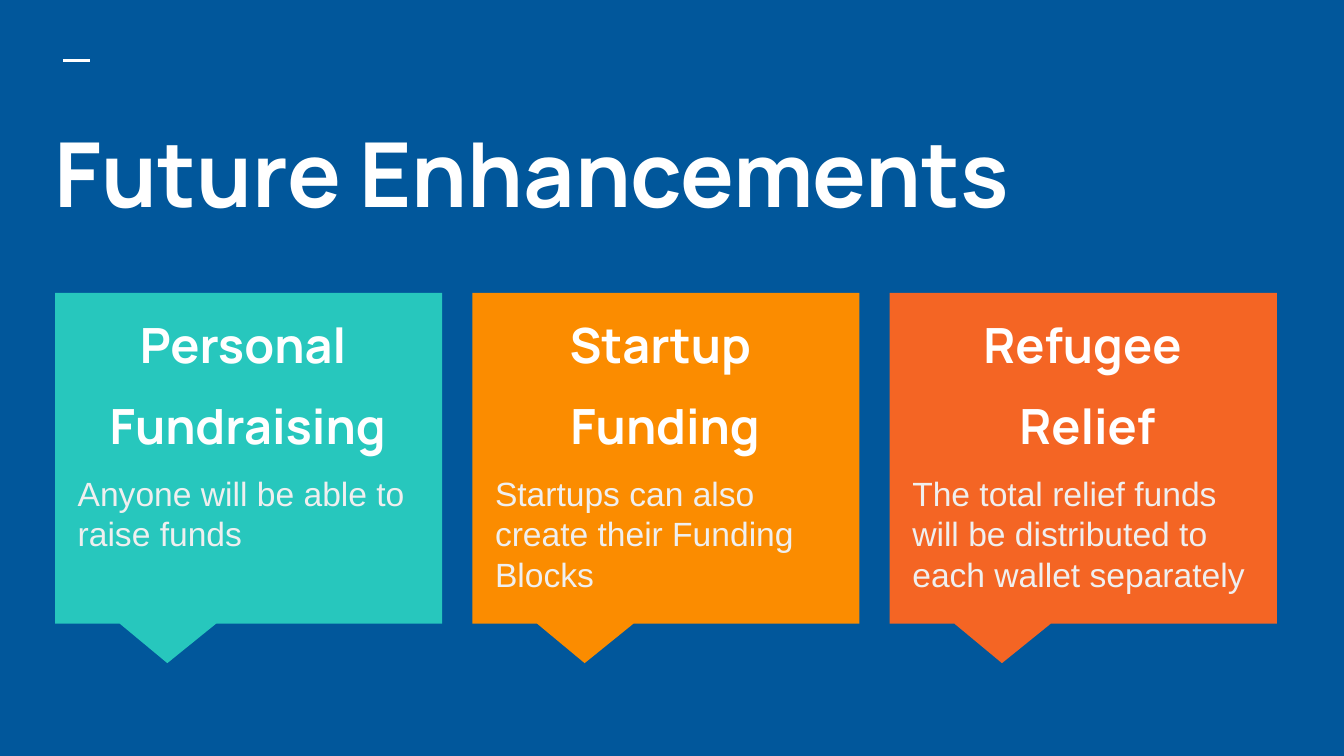
from pptx import Presentation
from pptx.dml.color import RGBColor
from pptx.enum.shapes import MSO_CONNECTOR, MSO_SHAPE
from pptx.enum.text import MSO_ANCHOR, PP_ALIGN
from pptx.oxml.ns import qn
from pptx.util import Inches, Pt
from lxml import etree

TITLE = {"name": "Manrope", "size": Pt(48), "bold": True}
HEADING = {"name": "Manrope", "size": Pt(26), "bold": True}
BODY = {"name": "Arial", "size": Pt(18), "bold": False}
CARDS = [
    ("27C7BD", ["Personal ", "Fundraising"], "Anyone will be able to raise funds"),
    ("FB8C00", ["Startup ", "Funding"], "Startups can also create their Funding Blocks"),
    ("F46524", ["Refugee", " Relief"],
     "The total relief funds will be distributed to each wallet separately"),
]


def paint(target, color):
    """Give a fill, line or font colour format a hex colour."""
    target.rgb = RGBColor.from_string(color)


def add_text(page, box, lines, font, color="FFFFFF", align=PP_ALIGN.LEFT,
             anchor=MSO_ANCHOR.TOP):
    """Write the lines as paragraphs, 12 pt apart, in the box."""
    frame = page.shapes.add_textbox(*map(Inches, box)).text_frame
    frame.word_wrap = True
    frame.vertical_anchor = anchor
    for side in ("left", "top", "right", "bottom"):
        setattr(frame, f"margin_{side}", Inches(0.1))
    for index, line in enumerate(lines):
        para = frame.paragraphs[0] if index == 0 else frame.add_paragraph()
        if index:
            para.space_before = Pt(12)
        para.alignment = align
        span = para.add_run()
        span.text = line
        for key, value in font.items():
            setattr(span.font, key, value)
        paint(span.font.color, color)


def add_header(page, left, top, width):
    """Draw the short accent line and the title below it."""
    start, end, level = Inches(left + 0.16), Inches(left + 0.36), Inches(top)
    accent = page.shapes.add_connector(MSO_CONNECTOR.STRAIGHT, start, level, end, level)
    paint(accent.line.color, "FFFFFF")
    accent.line.width = Pt(1.5)
    etree.SubElement(accent._element.spPr, qn("a:effectLst"))
    add_text(page, (left, top + 0.33, width, 1.12), ["Future Enhancements"], TITLE)


def add_card(page, left, top, width, height, color, heading, body):
    """Draw a callout with a centred heading and a body text."""
    card = page.shapes.add_shape(
        MSO_SHAPE.RECTANGULAR_CALLOUT, *map(Inches, (left, top, width, height)))
    card.adjustments[0], card.adjustments[1] = -0.21, 0.62
    card.shadow.inherit = False
    card.fill.solid()
    paint(card.fill.fore_color, color)
    card.line.fill.background()
    add_text(page, (left + 0.08, top + 0.07, width - 0.17, 1.22), heading, HEADING,
             align=PP_ALIGN.CENTER, anchor=MSO_ANCHOR.MIDDLE)
    add_text(page, (left + 0.07, top + 1.24, width - 0.14, 1.03), [body], BODY, "EFEFEF")


def main():
    """Build the slide and save the deck."""
    deck = Presentation()
    deck.slide_width = Inches(10)
    deck.slide_height = deck.slide_width * 9 // 16
    page = deck.slides.add_slide(deck.slide_layouts[6])
    page.background.fill.solid()
    paint(page.background.fill.fore_color, "01579B")
    add_header(page, 0.31, 0.45, 9.43)
    left, right, width = 0.41, 9.5, 2.88
    pitch = (right - left - width) / (len(CARDS) - 1)
    for index, card in enumerate(CARDS):
        add_card(page, left + index * pitch, 2.18, width, 2.46, *card)
    deck.save("out.pptx")


if __name__ == "__main__":
    main()
